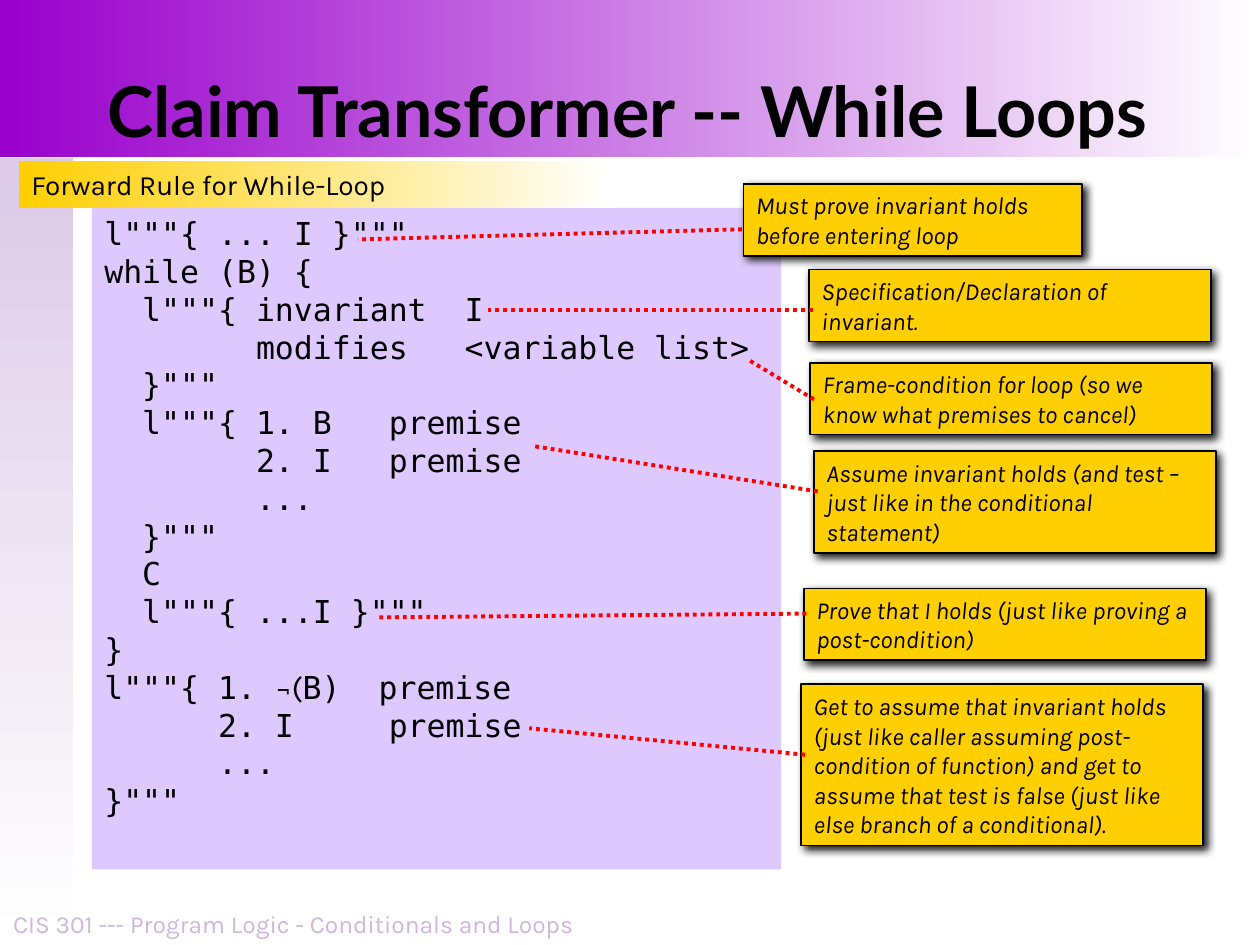
from lxml.etree import SubElement
from pptx import Presentation
from pptx.dml.color import RGBColor
from pptx.enum.dml import MSO_LINE
from pptx.enum.shapes import MSO_CONNECTOR, MSO_SHAPE
from pptx.enum.text import MSO_ANCHOR, MSO_AUTO_SIZE, PP_ALIGN
from pptx.oxml.ns import qn
from pptx.util import Inches, Pt

COLORS = {
    "purple": "9900CC", "mauve": "DDCBE7", "lilac": "DEC9FF", "footer": "D0B6DE",
    "gold": "FFCF01", "red": "FF0000", "black": "000000", "white": "FFFFFF",
    "shadow": "1C1C1C",
}
BODY, MONO, HEADING = "Karla", "DejaVu Sans Mono", "Lato"

CODE = [
    'l"""{ ... I }"""',
    "while (B) {",
    '  l"""{ invariant  I',
    "        modifies   <variable list>",
    '  }"""',
    '  l"""{ 1. B   premise',
    "        2. I   premise",
    "        ...",
    '  }"""',
    "  C",
    '  l"""{ ...I }"""',
    "}",
    'l"""{ 1. ¬(B)  premise',
    "      2. I     premise",
    "      ...",
    '}"""',
]
NEGATION = "¬("

CALLOUTS = [
    ("Must prove invariant holds before entering loop",
     (5.9, 1.46, 2.69, 0.57), (5.89, 1.82), (2.84, 1.9)),
    ("Specification/Declaration of invariant.",
     (6.42, 2.14, 3.19, 0.57), (6.45, 2.46), (3.87, 2.46)),
    ("Frame-condition for loop (so we know what premises to cancel)",
     (6.43, 2.88, 3.19, 0.57), (6.46, 3.17), (5.93, 2.85)),
    ("Assume invariant holds (and test – just like in the conditional statement)",
     (6.46, 3.58, 3.19, 0.81), (6.49, 3.9), (4.23, 3.54)),
    ("Prove that I holds (just like proving a post-condition)",
     (6.38, 4.67, 3.19, 0.57), (6.4, 4.87), (2.98, 4.9)),
    ("Get to assume that invariant holds (just like caller assuming post-condition "
     "of function) and get to assume that test is false (just like else branch of "
     "a conditional).",
     (6.36, 5.43, 3.19, 1.28), (6.39, 5.99), (4.2, 5.78)),
]


def rgb(name):
    return RGBColor.from_string(COLORS[name])


def style_font(font, size, face, color="black", bold=False, italic=False):
    font.size, font.name = Pt(size), face
    font.bold, font.italic = bold, italic
    font.color.rgb = rgb(color)


def set_text(shape, text, size, face, color="black", anchor=MSO_ANCHOR.TOP,
             align=PP_ALIGN.LEFT, wrap=True, **style):
    frame = shape.text_frame
    frame.text = text
    frame.word_wrap = wrap
    frame.auto_size = MSO_AUTO_SIZE.NONE
    frame.vertical_anchor = anchor
    for paragraph in frame.paragraphs:
        paragraph.alignment = align
        for run in paragraph.runs:
            style_font(run.font, size, face, color, **style)


def add_panel(slide, box, color, fade_angle=None):
    panel = slide.shapes.add_shape(MSO_SHAPE.RECTANGLE, *map(Inches, box))
    panel.shadow.inherit = False
    panel.line.fill.background()
    if fade_angle is None:
        panel.fill.solid()
        panel.fill.fore_color.rgb = rgb(color)
    else:
        panel.fill.gradient()
        panel.fill.gradient_angle = fade_angle
        for stop, name in zip(panel.fill.gradient_stops, (color, "white")):
            stop.color.rgb = rgb(name)
    return panel


def add_drop_shadow(panel):
    effects = panel.element.spPr.find(qn("a:effectLst"))
    drop = SubElement(effects, qn("a:outerShdw"), blurRad=str(Pt(5)),
                      dist=str(Pt(2.8)), dir=str(45 * 60000), algn="ctr",
                      rotWithShape="0")
    SubElement(drop, qn("a:srgbClr"), val=COLORS["shadow"])


def add_callout(slide, note, box, start, end):
    panel = add_panel(slide, box, "gold")
    panel.line.color.rgb = rgb("black")
    panel.line.width = Pt(1)
    add_drop_shadow(panel)
    set_text(panel, note, 14, BODY, anchor=MSO_ANCHOR.MIDDLE, italic=True)
    pointer = slide.shapes.add_connector(
        MSO_CONNECTOR.STRAIGHT, *map(Inches, start + end))
    pointer.line.color.rgb = rgb("red")
    pointer.line.width = Pt(2.25)
    pointer.line.dash_style = MSO_LINE.ROUND_DOT
    SubElement(pointer.element.spPr, qn("a:effectLst"))


def add_title(slide, text):
    title = slide.shapes.title
    title.left, title.top, title.width, title.height = map(
        Inches, (0.75, 0, 8.92, 1.25))
    set_text(title, text, 40, HEADING, anchor=MSO_ANCHOR.BOTTOM, bold=True)
    title.element.getparent().append(title.element)


def add_footer(slide, text):
    footer = slide.shapes.add_textbox(*map(Inches, (0, 7.17, 4.66, 0.33)))
    set_text(footer, text, 14, BODY, "footer", MSO_ANCHOR.BOTTOM,
             PP_ALIGN.CENTER, wrap=False)


def add_code(slide):
    panel = add_panel(slide, (0.73, 1.65, 5.47, 5.25), "lilac")
    set_text(panel, "\n".join(CODE), 18, MONO)
    for line, paragraph in zip(CODE, panel.text_frame.paragraphs):
        if NEGATION in line:
            before, after = line.split(NEGATION)
            paragraph.runs[0].text = before
            for part, face in ((NEGATION, BODY), (after, MONO)):
                run = paragraph.add_run()
                run.text = part
                style_font(run.font, 18, face)


def main():
    deck = Presentation()
    deck.slide_width, deck.slide_height = Inches(10), Inches(7.5)
    slide = deck.slides.add_slide(deck.slide_layouts[5])
    add_panel(slide, (0, 1.25, 0.58, 6.25), "mauve", fade_angle=270)
    add_panel(slide, (0, 0, 10, 1.25), "purple", fade_angle=0)
    add_title(slide, "Claim Transformer -- While Loops")
    add_footer(slide, "CIS 301 --- Program Logic - Conditionals and Loops")
    add_code(slide)
    for callout in CALLOUTS:
        add_callout(slide, *callout)
    rule = add_panel(slide, (0.15, 1.28, 4.7, 0.37), "gold", fade_angle=0)
    set_text(rule, "Forward Rule for While-Loop", 16, BODY)
    deck.save("out.pptx")


if __name__ == "__main__":
    main()
